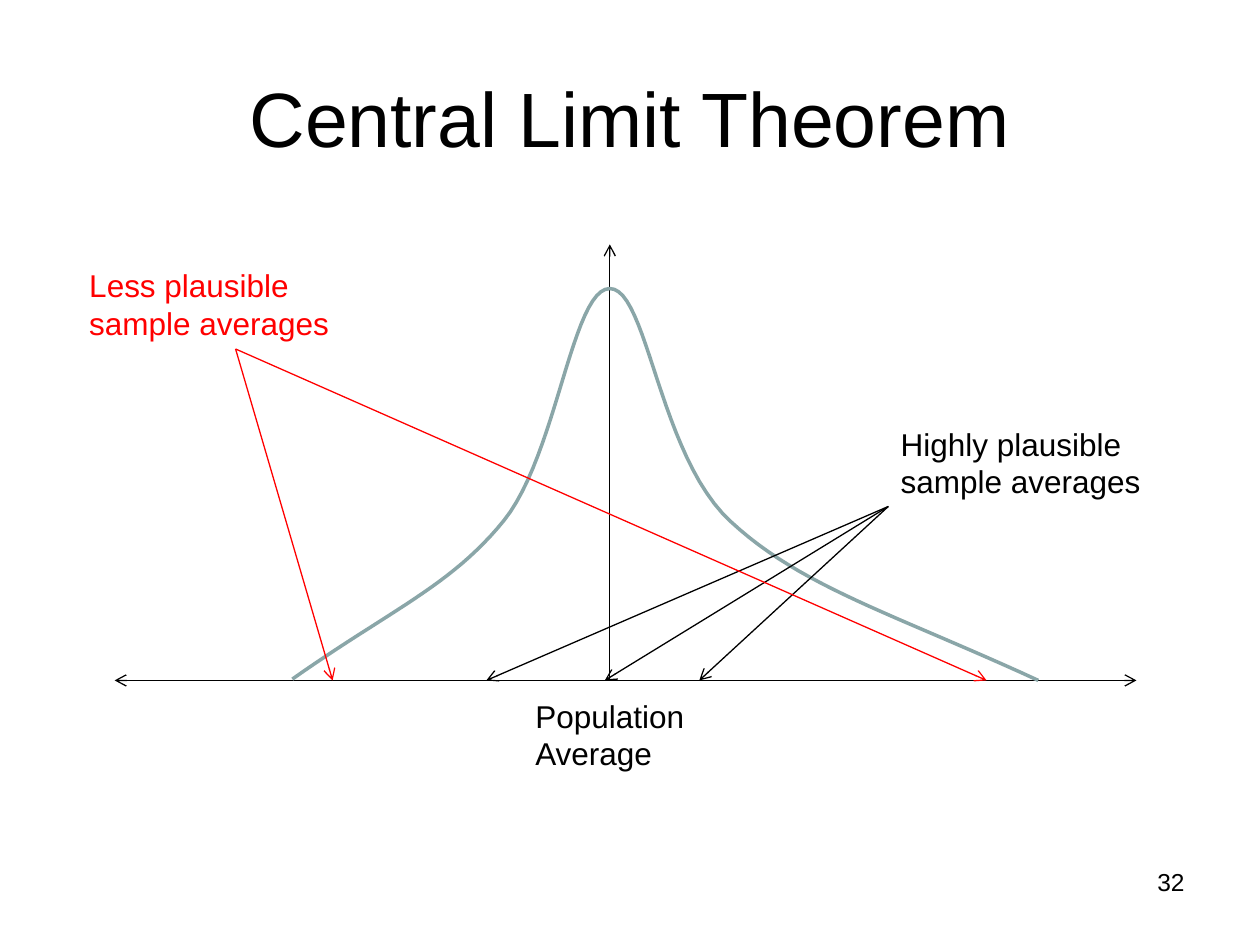
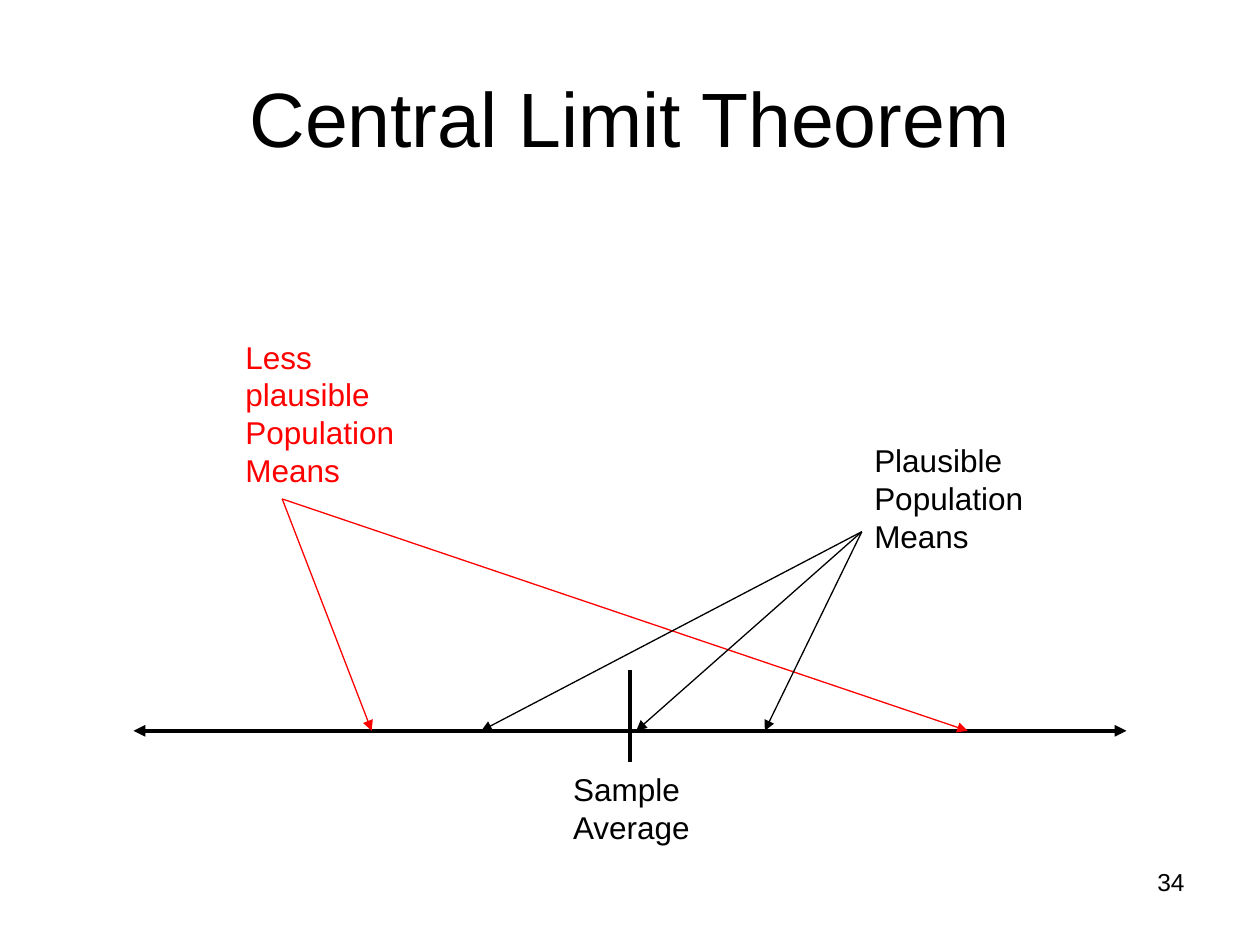
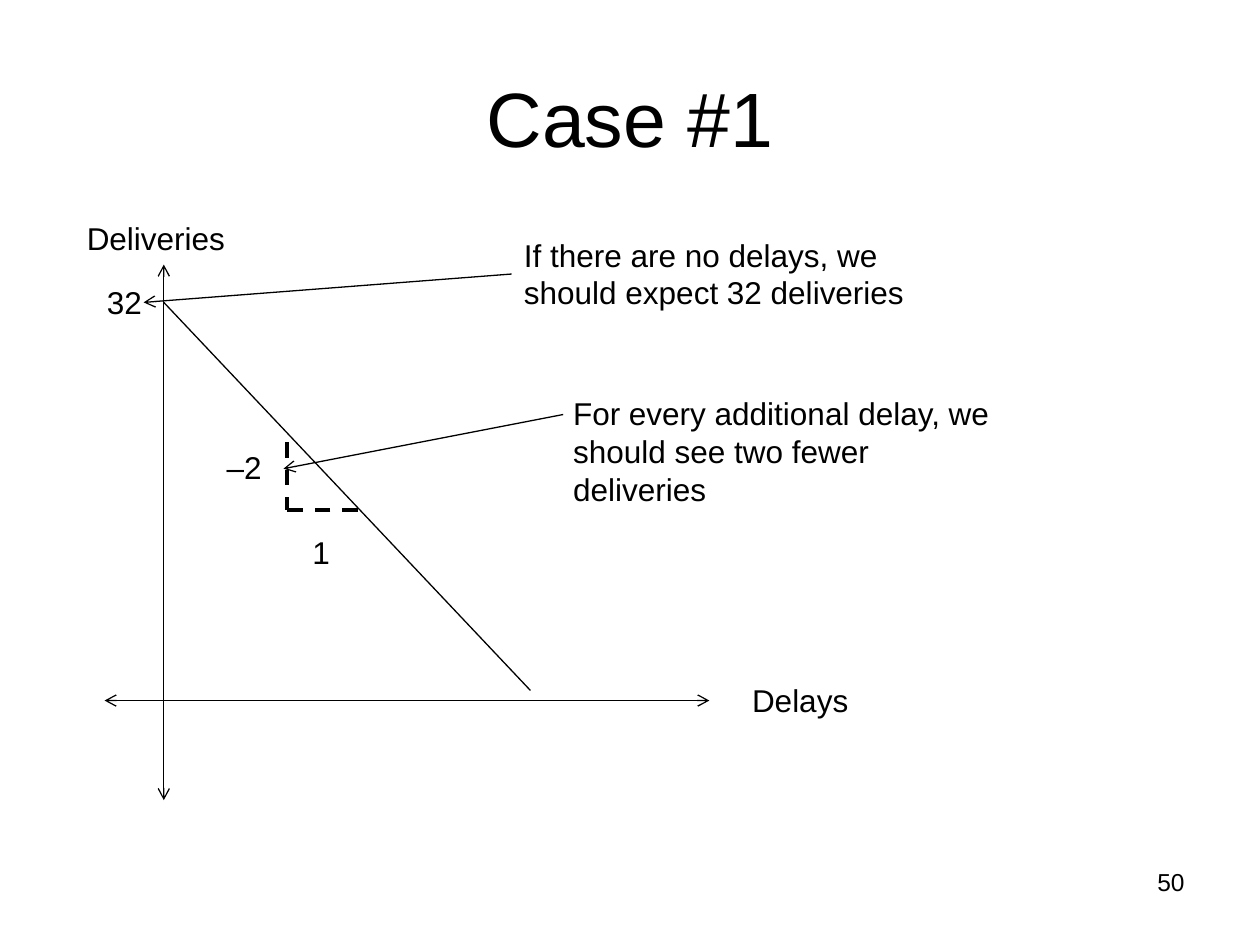
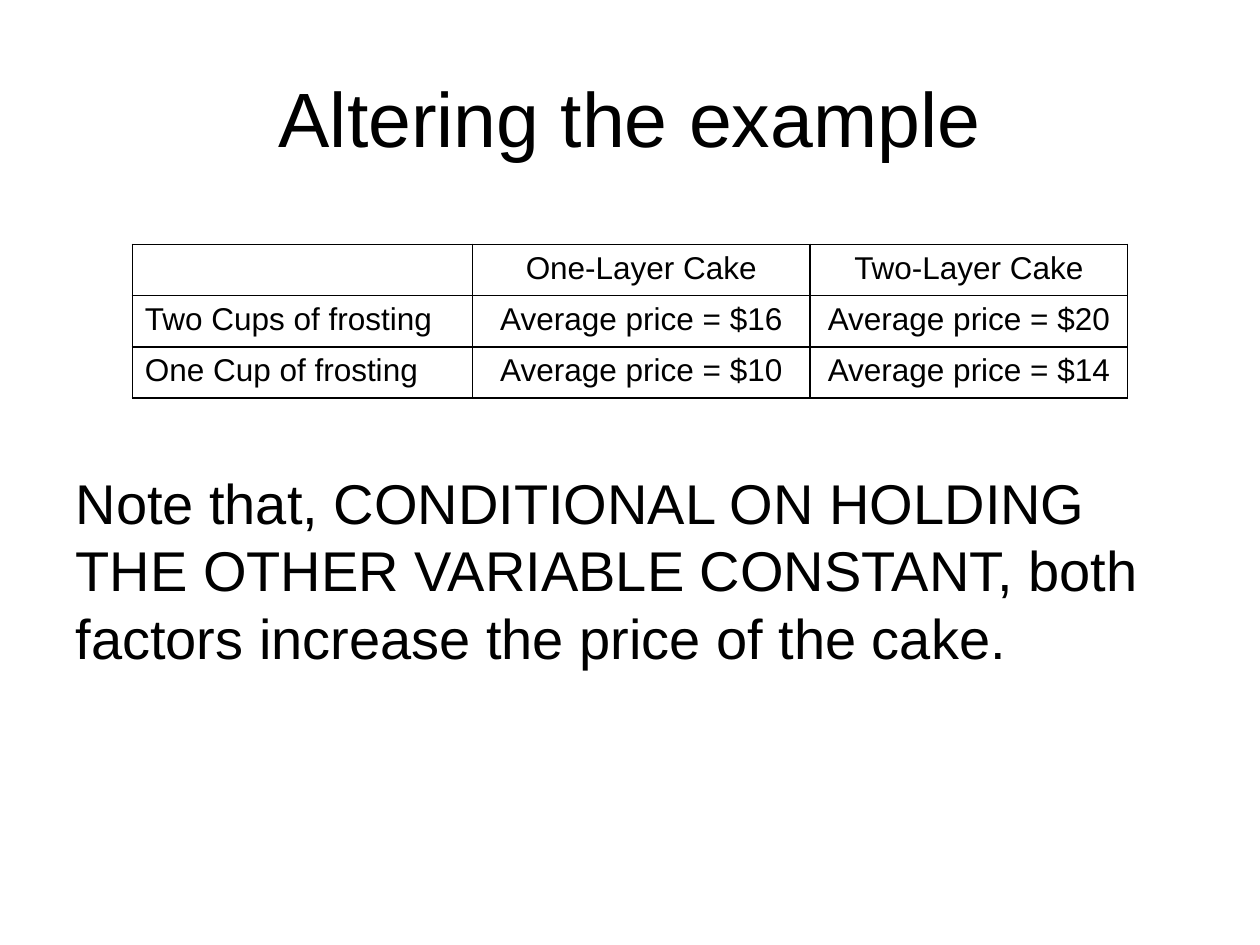
from typing import NamedTuple

from lxml.etree import SubElement
from pptx import Presentation
from pptx.dml.color import RGBColor
from pptx.enum.dml import MSO_LINE
from pptx.enum.shapes import MSO_CONNECTOR
from pptx.enum.text import MSO_ANCHOR, MSO_AUTO_SIZE, PP_ALIGN
from pptx.oxml import parse_xml
from pptx.oxml.ns import nsdecls, qn
from pptx.util import Inches, Pt

COLUMNS, ROWS = 100, 75
CELL = Inches(10) / COLUMNS
FONT = "Arial"
BLACK, RED, CURVE = "000000", "FF0000", "8AA6A8"
TITLE_ONLY, TITLE_AND_BODY = 5, 1
BOTTOM, LEFT = 2, 1


class Box(NamedTuple):
    """A region of the slide, in grid columns and rows."""
    left: float
    top: float
    width: float
    height: float

    def inner(self, left, top, width, height):
        return Box(self.left + left, self.top + top, width, height)

    def point(self, x, y):
        return cells(self.left + x), cells(self.top + y)

    def emu(self):
        return [cells(length) for length in self]


TITLE = Box(5, 3, 90, 12.5)
NUMBER = Box(71.7, 68.3, 23.3, 5.2)


def cells(count):
    return round(count * CELL)


def rgb(color):
    return RGBColor.from_string(color)


def format_text(frame, size, color=BLACK, align=None):
    for paragraph in frame.paragraphs:
        paragraph.alignment = align
        for run in paragraph.runs:
            run.font.name = FONT
            run.font.size = Pt(size)
            run.font.color.rgb = rgb(color)


def place(shape, box):
    shape.left, shape.top, shape.width, shape.height = box.emu()


def add_label(slide, box, text, color=BLACK, size=18, align=None):
    label = slide.shapes.add_textbox(*box.emu())
    frame = label.text_frame
    frame.word_wrap = True
    frame.auto_size = MSO_AUTO_SIZE.SHAPE_TO_FIT_TEXT
    frame.text = text
    format_text(frame, size, color, align)
    return label


def add_line(slide, box, start, end, color=BLACK, width=0.75, head=None, tail=None, dash=None):
    """Draw from start to end, both relative to box; head and tail name arrowheads."""
    line = slide.shapes.add_connector(
        MSO_CONNECTOR.STRAIGHT, *box.point(*start), *box.point(*end))
    line.line.color.rgb = rgb(color)
    line.line.width = Pt(width)
    if dash:
        line.line.dash_style = dash
    outline = line.line._get_or_add_ln()
    for tag, arrow in (("a:headEnd", head), ("a:tailEnd", tail)):
        if arrow:
            SubElement(outline, qn(tag), type=arrow)
    SubElement(line._element.spPr, qn("a:effectLst"))
    return line


def add_fan(slide, box, source, targets, arrow, color=BLACK, label=None, side=None):
    """Arrows from one source to several x positions on the box's bottom edge."""
    for x in targets:
        ray = add_line(slide, box, source, (x, box.height), color, tail=arrow)
        if label is not None:
            ray.begin_connect(label, side)


def bezier(start, control_1, control_2, end, steps=24):
    for step in range(1, steps + 1):
        t = step / steps
        weights = ((1 - t) ** 3, 3 * t * (1 - t) ** 2, 3 * t ** 2 * (1 - t), t ** 3)
        knots = (start, control_1, control_2, end)
        yield tuple(sum(w * knot[axis] for w, knot in zip(weights, knots)) for axis in (0, 1))


def add_curve(slide, box, knots):
    """Draw chained cubic segments; knots are end, control, control, end, ..."""
    points = [point for first in range(0, len(knots) - 1, 3)
              for point in bezier(*knots[first:first + 4])]
    builder = slide.shapes.build_freeform(*box.point(*knots[0]))
    builder.add_line_segments([box.point(*point) for point in points], close=False)
    curve = builder.convert_to_shape()
    curve.shadow.inherit = False
    curve.fill.background()
    curve.line.color.rgb = rgb(CURVE)
    curve.line.width = Pt(2)


def new_slide(deck, title, number=None, layout=TITLE_ONLY):
    slide = deck.slides.add_slide(deck.slide_layouts[layout])
    heading = slide.shapes.title
    place(heading, TITLE)
    heading.text_frame.text = title
    heading.text_frame.vertical_anchor = MSO_ANCHOR.MIDDLE
    format_text(heading.text_frame, 44, align=PP_ALIGN.CENTER)
    if number:
        add_label(slide, NUMBER, number, size=14, align=PP_ALIGN.RIGHT)
    return slide


def draw_bell_curve(slide, box):
    center, base = 39.3, box.height
    add_line(slide, box, (0, base), (box.width, base), head="arrow", tail="arrow")
    add_line(slide, box, (center, base), (center, 0), tail="arrow")
    add_curve(slide, box, [
        (14.1, 34.5), (21.9, 29), (26.7, 27.1), (30.9, 21.9),
        (35.1, 16.7), (36.3, 3.5), (center, 3.5),
        (42.3, 3.5), (43.2, 16.8), (48.9, 22),
        (54.5, 27.2), (61.8, 29.3), (73.3, base)])
    add_label(slide, box.inner(32.4, 35.4, 16.2, 7.1), "Population\nAverage")
    add_label(slide, box.inner(61.4, 13.8, 22, 7.1), "Highly plausible sample averages")
    add_fan(slide, box, (61.4, 20.8), (46.4, 29.5, 38.9), "arrow")
    less = add_label(slide, box.inner(-3, 1.2, 25.2, 7.1),
                     "Less plausible sample averages", RED)
    add_fan(slide, box, (9.6, 8.3), (17.3, 69.2), "arrow", RED, less, BOTTOM)


def draw_number_line(slide, box):
    base, center = box.height, box.width / 2
    add_line(slide, box, (0, base), (box.width, base), width=2.25,
             head="triangle", tail="triangle")
    add_line(slide, box, (center, base - 4.8), (center, base + 2.5), width=2.25)
    add_label(slide, box.inner(33.9, 34.3, 12.6, 7.1), "Sample Average")
    add_label(slide, box.inner(57.8, 8.2, 14.9, 10.1), "Plausible Population Means")
    add_label(slide, box.inner(7.9, 0, 15, 13.1), "Less plausible Population Means", RED)
    add_fan(slide, box, (11.8, 13.3), (18.9, 66.2), "triangle", RED)
    add_fan(slide, box, (57.8, 15.9), (27.6, 39.9, 50.1), "triangle")


def draw_regression(slide, box):
    origin_x, origin_y = 4.7, 34.6
    add_line(slide, box, (origin_x, 0), (origin_x, box.height), head="arrow", tail="arrow")
    add_line(slide, box, (0, origin_y), (box.width, origin_y), head="arrow", tail="arrow")
    add_line(slide, box, (origin_x, 3), (33.8, 33.8))
    for text, left, top, width in (
            ("Deliveries", -2.4, -4.1, 14.2), ("Delays", 50.4, 32.6, 10.2),
            ("32", -0.8, 1, 5.5), ("1", 15.5, 20.8, 3.9), ("–2", 8.7, 14.1, 5.5)):
        add_label(slide, box.inner(left, top, width, 4), text)
    for start, end in (((14.5, 14.1), (14.5, 19.5)), ((20.1, 19.5), (14.2, 19.5))):
        add_line(slide, box, start, end, width=2.25, dash=MSO_LINE.DASH)
    intercept = add_label(slide, box.inner(32.3, -2.8, 36.2, 7.1),
                          "If there are no delays, we should expect 32 deliveries")
    pointer = add_line(slide, box, (32.3, 0.8), (3.1, 3), tail="arrow")
    pointer.begin_connect(intercept, LEFT)
    add_label(slide, box.inner(36.2, 9.8, 36.2, 10.1),
              "For every additional delay, we should see two fewer deliveries")
    add_line(slide, box, (36.4, 11.9), (14.2, 16.2), tail="arrow")


def add_borders(cell):
    properties = cell._tc.get_or_add_tcPr()
    for position, side in enumerate("LRTB"):
        properties.insert(position, parse_xml(
            f'<a:ln{side} {nsdecls("a")} w="{Pt(1)}"><a:solidFill>'
            f'<a:srgbClr val="{BLACK}"/></a:solidFill></a:ln{side}>'))


def add_price_table(slide, box):
    prices = (("", "One-Layer Cake", "Two-Layer Cake"),
              ("Two Cups of frosting", "Average price = $16", "Average price = $20"),
              ("One Cup of frosting", "Average price = $10", "Average price = $14"))
    table = slide.shapes.add_table(len(prices), len(prices[0]), *box.emu()).table
    table.first_row = table.horz_banding = False
    for column, width in zip(table.columns, (27, 26.8, 25.2)):
        column.width = cells(width)
    for r, row in enumerate(prices):
        for c, text in enumerate(row):
            cell = table.cell(r, c)
            cell.text_frame.text = text
            format_text(cell.text_frame, 18, align=PP_ALIGN.CENTER if c else PP_ALIGN.LEFT)
            cell.fill.background()
            add_borders(cell)


def fill_note(slide, box):
    note = slide.placeholders[1]
    place(note, box)
    note.text_frame.text = ("Note that, CONDITIONAL ON HOLDING THE OTHER VARIABLE CONSTANT, "
                            "both factors increase the price of the cake.")
    format_text(note.text_frame, 32)
    paragraph = note.text_frame.paragraphs[0]
    paragraph.space_before = Pt(0)
    properties = paragraph._p.get_or_add_pPr()
    properties.set("marL", "0")
    properties.set("indent", "0")
    SubElement(properties, qn("a:buNone"))


def main():
    deck = Presentation()
    deck.slide_width, deck.slide_height = cells(COLUMNS), cells(ROWS)

    draw_bell_curve(new_slide(deck, "Central Limit Theorem", "32"), Box(9.1, 19.4, 81.1, 34.6))
    draw_number_line(new_slide(deck, "Central Limit Theorem", "34"), Box(10.6, 26.3, 78.8, 31.7))
    draw_regression(new_slide(deck, "Case #1", "50"), Box(8.3, 21, 48, 42.5))

    cake = new_slide(deck, "Altering the example", layout=TITLE_AND_BODY)
    fill_note(cake, Box(5, 36.7, 90, 30.3))
    add_price_table(cake, Box(10.5, 19.4, 79, 12.2))

    deck.save("out.pptx")


if __name__ == "__main__":
    main()
